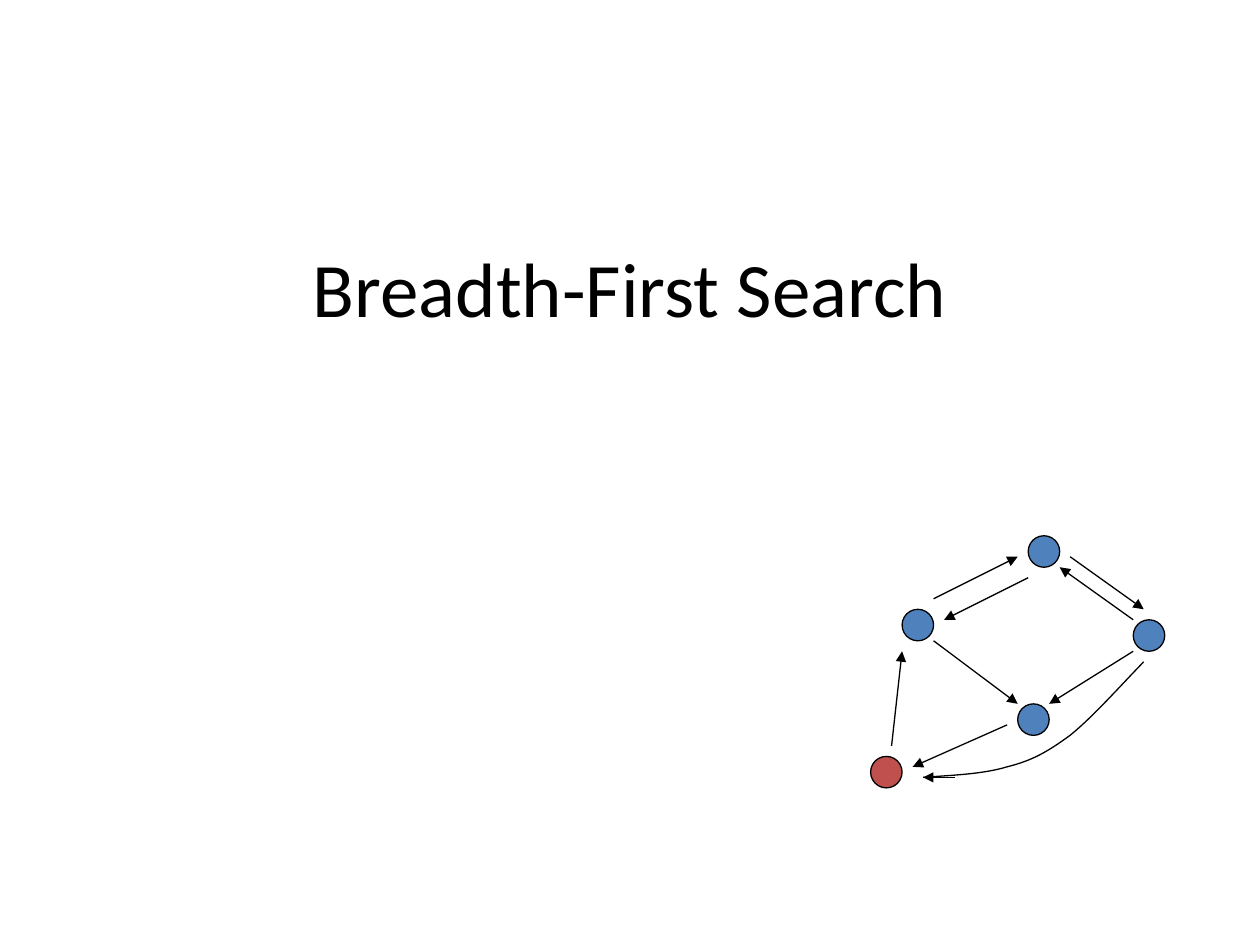
from lxml.etree import SubElement
from pptx import Presentation
from pptx.dml.color import RGBColor
from pptx.enum.shapes import MSO_CONNECTOR, MSO_SHAPE
from pptx.enum.text import MSO_ANCHOR, PP_ALIGN
from pptx.oxml.ns import qn
from pptx.util import Cm, Pt

COLORS = {"ink": "000000", "node": "4F81BD", "start": "C0504D", "paper": "FFFFFF"}
FONT = "Calibri"

# The graph lies on a grid of 28 by 24 units
GRID_COLUMNS = 28
NODE_SIZE = 3
NODES = [(3, 7, "node"), (15, 0, "node"), (25, 8, "node"), (0, 21, "start"), (14, 16, "node")]
EDGES = [
    ((6, 10), (14, 16)),
    ((6, 6), (14, 2)),
    ((15, 4), (7, 8)),
    ((2, 20), (3, 11)),
    ((19, 2), (26, 7)),
    ((25, 8), (18, 3)),
    ((25, 11), (17, 16)),
    ((13, 18), (4, 22)),
    ((8, 23), (5, 23)),  # arrowhead of the curved edge
]
# Start point, then two control points and an end point for each segment
CURVE = [
    (26, 12),
    (23.5, 14.6), (21.1, 17.3), (19, 19),
    (16.8, 20.6), (15.4, 21.4), (13, 22),
    (10.7, 22.7), (7.8, 22.8), (5, 23),
]


def rgb(name):
    return RGBColor.from_string(COLORS[name])


def style_line(line):
    line.color.rgb = rgb("ink")
    line.width = Pt(0.75)


def add_title(slide, left, top, width, height):
    title = slide.shapes.add_textbox(left, top, width, height)
    frame = title.text_frame
    frame.word_wrap = True
    frame.vertical_anchor = MSO_ANCHOR.MIDDLE
    frame.text = "Breadth-First Search"
    heading = frame.paragraphs[0]
    heading.alignment = PP_ALIGN.CENTER
    font = heading.runs[0].font
    font.name, font.size = FONT, Pt(44)
    font.color.rgb = rgb("ink")


def add_edge(shapes, start, end):
    edge = shapes.add_connector(MSO_CONNECTOR.STRAIGHT, *start, *end)
    style_line(edge.line)
    SubElement(edge.line._get_or_add_ln(), qn("a:tailEnd"), type="triangle")
    SubElement(edge._element.spPr, qn("a:effectLst"))


def add_curve(shapes, points):
    builder = shapes.build_freeform(*points[0])
    builder.add_line_segments(points[1:], close=False)
    curve = builder.convert_to_shape()
    curve.shadow.inherit = False
    curve.fill.background()
    style_line(curve.line)

    # Join every three line points into one cubic segment
    outline = curve._element.find(".//" + qn("a:path"))
    steps = outline.findall(qn("a:lnTo"))
    for i in range(0, len(steps), 3):
        cubic = SubElement(outline, qn("a:cubicBezTo"))
        for step in steps[i:i + 3]:
            cubic.append(step[0])
            outline.remove(step)


def add_graph(slide, left, top, width):
    unit = width / GRID_COLUMNS
    shapes = slide.shapes.add_group_shape().shapes

    def place(point):
        return round(left + point[0] * unit), round(top + point[1] * unit)

    # Nodes
    size = round(NODE_SIZE * unit)
    for column, row, color in NODES:
        node = shapes.add_shape(MSO_SHAPE.OVAL, *place((column, row)), size, size)
        node.shadow.inherit = False
        node.fill.solid()
        node.fill.fore_color.rgb = rgb(color)
        style_line(node.line)

    # Edges
    add_curve(shapes, [place(point) for point in CURVE])
    for start, end in EDGES:
        add_edge(shapes, place(start), place(end))


def main():
    deck = Presentation()
    deck.slide_width, deck.slide_height = Cm(25.4), Cm(19.05)
    slide = deck.slides.add_slide(deck.slide_layouts[6])
    slide.background.fill.solid()
    slide.background.fill.fore_color.rgb = rgb("paper")
    add_title(slide, Cm(1.27), Cm(0.76), Cm(22.86), Cm(10.03))
    add_graph(slide, Cm(17.55), Cm(10.8), Cm(5.93))
    deck.save("out.pptx")


if __name__ == "__main__":
    main()
